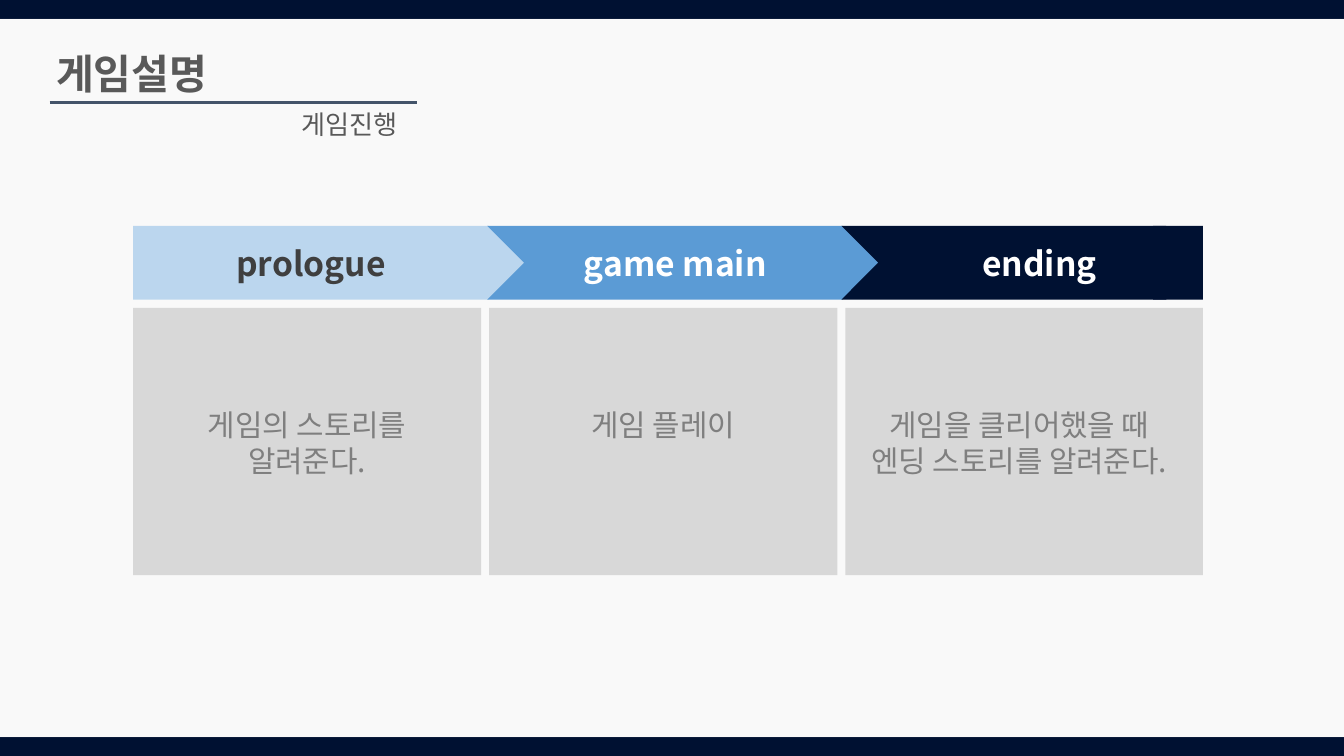
from lxml.etree import SubElement as Sub
from pptx import Presentation
from pptx.dml.color import RGBColor as Rgb
from pptx.enum.shapes import MSO_CONNECTOR as Conn, MSO_SHAPE as Kind
from pptx.enum.text import PP_ALIGN as Align
from pptx.oxml.ns import qn
from pptx.util import Inches, Pt

W = 10
H = W * 9 / 16
FONT = "Noto Sans CJK KR"
HUES = {
    "navy": "001132", "blue": "5B9BD5", "sky": "BBD6EE", "pale": "F2F2F2",
    "card": "D8D8D8", "white": "FFFFFF", "slate": "44546A",
    "dark": "3F3F3F", "gray": "595959", "soft": "7F7F7F",
}
STYLES = {
    "title": {"size": 22, "bold": True},
    "sub": {"size": 14, "bold": False},
    "step": {"size": 18, "bold": True},
    "body": {"size": 16, "bold": False},
}
STEPS = [
    ("prologue", "sky", "dark", "게임의 스토리를 알려준다."),
    ("game main", "blue", "white", "게임 플레이"),
    ("ending", "navy", "white", "게임을 클리어했을 때 엔딩 스토리를 알려준다."),
]


def rgb(hue):
    return Rgb.from_string(HUES[hue])


def block(slide, box, hue, kind=Kind.RECTANGLE):
    shape = slide.shapes.add_shape(kind, *map(Inches, box))
    shape.shadow.inherit = False
    shape.fill.solid()
    shape.fill.fore_color.rgb = rgb(hue)
    shape.line.fill.background()
    return shape


def rule(slide, left, right, top, hue, width):
    line = slide.shapes.add_connector(
        Conn.STRAIGHT, *map(Inches, (left, top, right, top)))
    line.line.color.rgb = rgb(hue)
    line.line.width = Pt(width)
    Sub(line._element.spPr, qn("a:effectLst"))


def label(slide, box, text, style, hue, align=Align.LEFT):
    frame = slide.shapes.add_textbox(*map(Inches, box)).text_frame
    frame.word_wrap = True
    para = frame.paragraphs[0]
    para.alignment = align
    run = para.add_run()
    run.text = text
    form = STYLES[style] | {"name": FONT, "size": Pt(STYLES[style]["size"])}
    for key, value in form.items():
        setattr(run.font, key, value)
    run.font.color.rgb = rgb(hue)
    Sub(run.font._element, qn("a:ea")).set("typeface", FONT)


def stage(slide, box):
    left, top, wide, high = box
    bar = high / 40
    for y in (top, top + high - bar):
        block(slide, (left, y, wide, bar), "navy")
    rule(slide, left, left + wide, 0.76, "white", 4.25)
    panel = block(slide, (left, top + bar, wide, high - 2 * bar), "pale")
    tint = panel.fill._xPr.find(".//" + qn("a:srgbClr"))
    Sub(tint, qn("a:alpha")).set("val", "40000")


def flow(slide, box):
    left, top, wide, high = box
    head, gap, step, tail = 0.55, 0.06, 2.65, 2.69
    right = left + wide
    block(slide, (right - 0.37, top, 0.37, head), "navy")
    for i, (name, hue, ink, text) in enumerate(STEPS):
        last = i == len(STEPS) - 1
        start = left + i * (wide - tail) / 2
        kind = Kind.CHEVRON if i else Kind.PENTAGON
        block(slide, (start, top, tail if last else 2.92, head), hue, kind)
        label(slide, (left + 0.04 + i * 2.71, top + 0.08, 2.57, 0.3),
              name, "step", ink, Align.CENTER)
        x, y = left + i * step, top + head + gap
        span = right - x if last else step - gap
        block(slide, (x, y, span, high - head - gap), "card")
        label(slide, (x + 0.04, top + 1.3, 2.51, 0.28),
              text, "body", "soft", Align.CENTER)


def header(slide, box):
    left, top, wide, high = box
    base = top + high
    label(slide, (left - 0.05, top, 0.8 * wide, 0.41), "게임설명", "title", "gray")
    label(slide, (left + 0.65 * wide, base, 1.19, 0.3), "게임진행", "sub", "gray")
    rule(slide, left, left + wide, base, "slate", 1.5)


def main():
    deck = Presentation()
    deck.slide_width, deck.slide_height = Inches(W), Inches(H)
    slide = deck.slides.add_slide(deck.slide_layouts[6])
    stage(slide, (0, 0, W, H))
    flow(slide, (0.99, 1.68, 7.96, 2.6))
    header(slide, (0.37, 0.31, 2.73, 0.45))
    deck.save("out.pptx")


if __name__ == "__main__":
    main()
